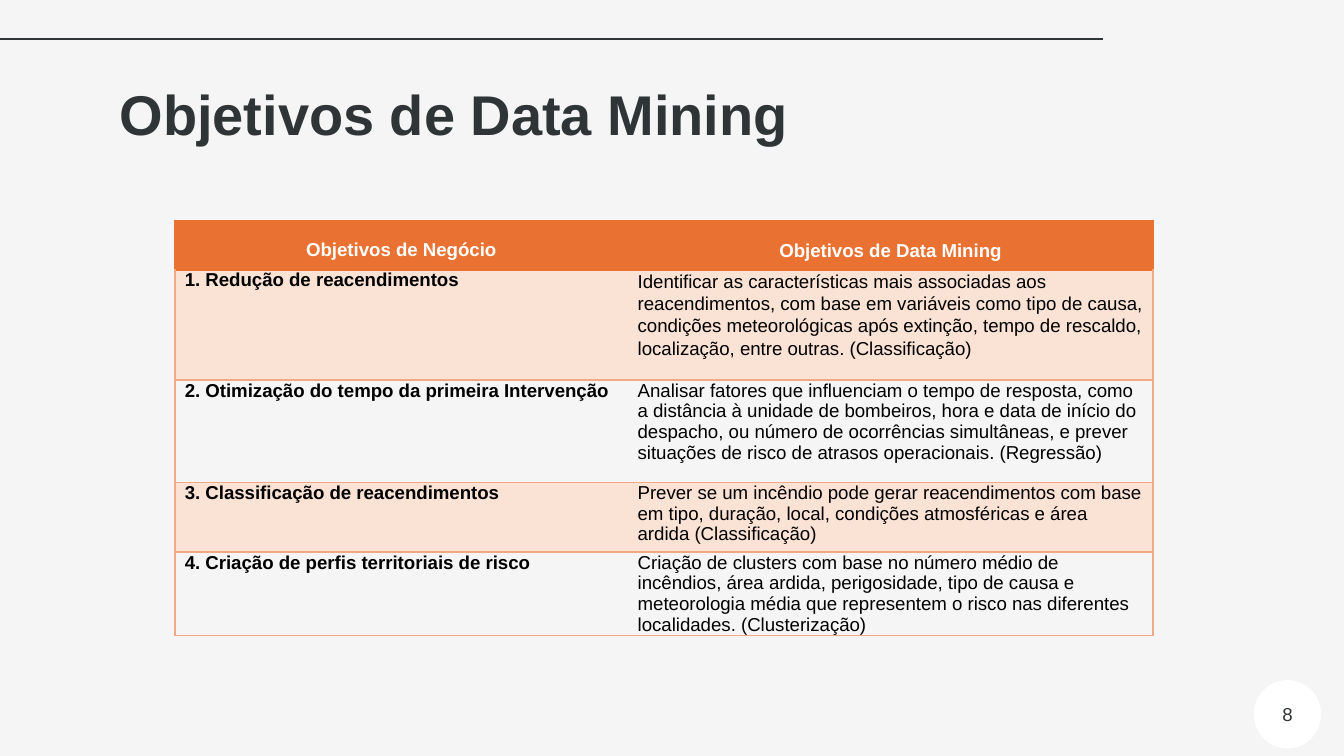
from lxml import etree
from pptx import Presentation
from pptx.dml.color import RGBColor
from pptx.enum.shapes import MSO_CONNECTOR, MSO_SHAPE
from pptx.enum.text import MSO_ANCHOR, PP_ALIGN
from pptx.oxml.ns import qn
from pptx.util import Inches, Pt

LEFT, CENTER = PP_ALIGN.LEFT, PP_ALIGN.CENTER
TOP, MIDDLE = MSO_ANCHOR.TOP, MSO_ANCHOR.MIDDLE
STRAIGHT, OVAL = MSO_CONNECTOR.STRAIGHT, MSO_SHAPE.OVAL

PAPER = RGBColor(0xF5, 0xF5, 0xF5)
INK = RGBColor(0x2F, 0x35, 0x36)
WHITE = RGBColor(0xFF, 0xFF, 0xFF)
BLACK = RGBColor(0x00, 0x00, 0x00)
ORANGE = RGBColor(0xE9, 0x71, 0x32)
PEACH = RGBColor(0xF1, 0xA9, 0x83)
CREAM = RGBColor(0xFA, 0xE2, 0xD5)

TITLE = "Objetivos de Data Mining"
HEADERS = ("Objetivos de Negócio", "Objetivos de Data Mining")
GOALS = [
    ("1. Redução de reacendimentos",
     "Identificar as características mais associadas aos reacendimentos, com base em "
     "variáveis como tipo de causa, condições meteorológicas após extinção, tempo de "
     "rescaldo, localização, entre outras. (Classificação)"),
    ("2. Otimização do tempo da primeira Intervenção",
     "Analisar fatores que influenciam o tempo de resposta, como a distância à unidade "
     "de bombeiros, hora e data de início do despacho, ou número de ocorrências "
     "simultâneas, e prever situações de risco de atrasos operacionais. (Regressão)"),
    ("3. Classificação de reacendimentos",
     "Prever se um incêndio pode gerar reacendimentos com base em tipo, duração, local, "
     "condições atmosféricas e área ardida (Classificação)"),
    ("4. Criação de perfis territoriais de risco",
     "Criação de clusters com base no número médio de incêndios, área ardida, "
     "perigosidade, tipo de causa e meteorologia média que representem o risco nas "
     "diferentes localidades. (Clusterização)"),
]
COLUMN_WIDTHS = (3.37, 3.91)
ROW_HEIGHTS = (0.37, 0.82, 0.76, 0.52, 0.62)
HEADER_MARGINS = (0.14, 0.15)
SIDE_MARGIN = Pt(5.4)


def write_text(frame, text, size=10, color=BLACK, bold=False, align=LEFT, spacing=1.0, after=0):
    """Put one formatted paragraph in a text frame."""
    para = frame.paragraphs[0]
    para.alignment = align
    para.line_spacing = spacing
    para.space_after = Pt(after)
    span = para.add_run()
    span.text = text
    span.font.name = "Arial"
    span.font.size = Pt(size)
    span.font.bold = bold
    span.font.color.rgb = color


def set_borders(cell, left=None, right=None, top=None, bottom=None):
    """Draw one-point cell borders, hiding each side without a colour."""
    properties = cell._tc.get_or_add_tcPr()
    for tag, color in (("a:lnL", left), ("a:lnR", right), ("a:lnT", top), ("a:lnB", bottom)):
        border = etree.SubElement(properties, qn(tag), w=str(Pt(1)))
        if color is None:
            etree.SubElement(border, qn("a:noFill"))
        else:
            fill = etree.SubElement(border, qn("a:solidFill"))
            etree.SubElement(fill, qn("a:srgbClr"), val=str(color))


def add_title(page, left, top, width, height):
    """Place and format the title placeholder."""
    title = page.shapes.title
    title.left, title.top = Inches(left), Inches(top)
    title.width, title.height = Inches(width), Inches(height)
    frame = title.text_frame
    frame.word_wrap = True
    frame.vertical_anchor = TOP
    frame.margin_left = frame.margin_right = Inches(0.1)
    frame.margin_top = frame.margin_bottom = Inches(0.1)
    write_text(frame, TITLE, size=30, color=INK, bold=True)


def add_rule(page, left, top, width):
    """Draw the thin horizontal rule above the title."""
    rule = page.shapes.add_connector(
        STRAIGHT, Inches(left), Inches(top), Inches(left + width), Inches(top))
    rule.line.color.rgb = INK
    rule.line.width = Pt(0.75)
    etree.SubElement(rule._element.spPr, qn("a:effectLst"))


def add_goal_table(page, left, top):
    """Build the table that pairs business goals with data mining goals."""
    rows = [HEADERS] + GOALS
    table = page.shapes.add_table(
        len(rows), len(HEADERS), Inches(left), Inches(top),
        Inches(sum(COLUMN_WIDTHS)), Inches(sum(ROW_HEIGHTS))).table
    table.first_row = True
    table.horz_banding = False
    for column, width in zip(table.columns, COLUMN_WIDTHS):
        column.width = Inches(width)
    for index, (row, height) in enumerate(zip(rows, ROW_HEIGHTS)):
        table.rows[index].height = Inches(height)
        header = index == 0
        side = ORANGE if header else PEACH
        above = ORANGE if index <= 1 else PEACH
        for number, text in enumerate(row):
            cell = table.cell(index, number)
            first = number == 0
            cell.margin_left = cell.margin_right = SIDE_MARGIN
            cell.margin_top = Inches(HEADER_MARGINS[number] if header else 0)
            cell.margin_bottom = 0
            set_borders(cell, left=side if first else None,
                        right=None if first else side, top=above, bottom=side)
            if index % 2 or header:
                cell.fill.solid()
                cell.fill.fore_color.rgb = ORANGE if header else CREAM
            else:
                cell.fill.background()
            loose = index == 1 and not first
            write_text(cell.text_frame, text, bold=header or first,
                       color=WHITE if header else BLACK,
                       align=CENTER if header else LEFT,
                       spacing=1.07 if loose else 1.0, after=6 if loose else 0)


def add_page_number(page, left, top, width, height):
    """Place the page number in a white circle."""
    circle = page.shapes.add_shape(OVAL, Inches(left), Inches(top), Inches(width), Inches(height))
    circle.shadow.inherit = False
    circle.fill.solid()
    circle.fill.fore_color.rgb = WHITE
    circle.line.fill.background()
    circle.text_frame.vertical_anchor = MIDDLE
    write_text(circle.text_frame, "8", color=INK, align=CENTER)


def main():
    """Build and save the deck."""
    deck = Presentation()
    deck.slide_width = Inches(10)
    deck.slide_height = deck.slide_width * 9 // 16
    page = deck.slides.add_slide(deck.slide_layouts.get_by_name("Title Only"))
    page.background.fill.solid()
    page.background.fill.fore_color.rgb = PAPER
    add_rule(page, -0.05, 0.29, 8.26)
    add_title(page, 0.79, 0.49, 8.43, 0.63)
    add_goal_table(page, 1.3, 1.64)
    add_page_number(page, 9.33, 5.06, 0.5, 0.51)
    deck.save("out.pptx")


if __name__ == "__main__":
    main()
